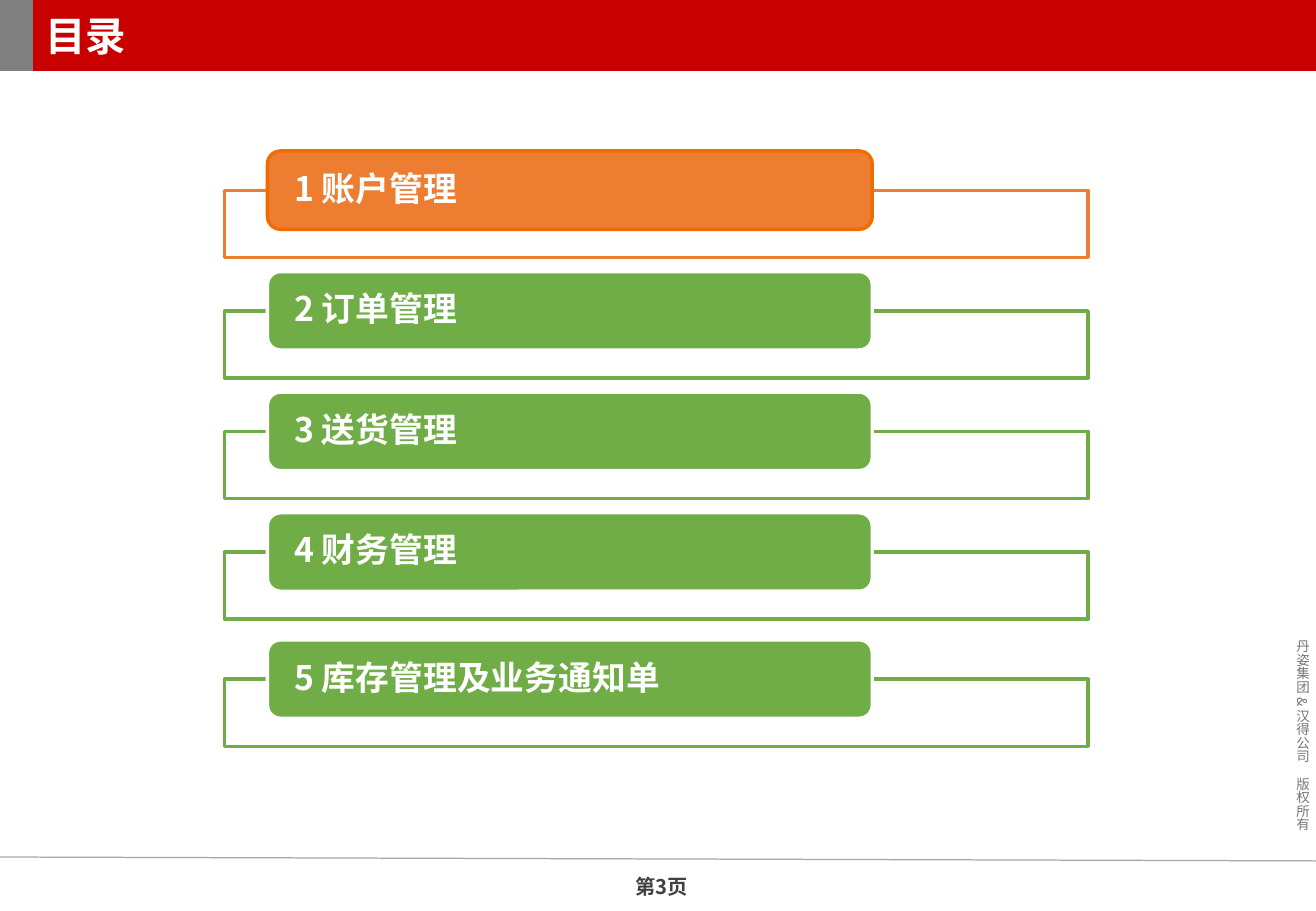
import dataclasses

import lxml.etree
import pptx
import pptx.dml.color
import pptx.enum.shapes
import pptx.enum.text
import pptx.oxml.ns
import pptx.util

Pt = pptx.util.Pt
RGB = pptx.dml.color.RGBColor.from_string
qn = pptx.oxml.ns.qn
ALIGN = pptx.enum.text.PP_ALIGN
ANCHOR = pptx.enum.text.MSO_ANCHOR
SHAPE = pptx.enum.shapes.MSO_SHAPE


@dataclasses.dataclass(frozen=True)
class Theme:
    red: str = "C80000"
    gray: str = "808080"
    rule: str = "A6A6A6"
    copyright: str = "777777"
    footer: str = "404040"
    white: str = "FFFFFF"
    orange: str = "ED7D31"
    orange_edge: str = "EF6C00"
    green: str = "70AD47"
    latin: str = "Arial"
    cjk: str = "Noto Sans CJK SC"
    title_size: int = 24
    item_size: int = 20
    footer_size: int = 12
    copyright_size: int = 8


theme = Theme()


def write(sp, text, size, color, font, align, anchor, margins, bold=True):
    tf = sp.text_frame
    tf.text = text
    tf.word_wrap = True
    tf.auto_size = pptx.enum.text.MSO_AUTO_SIZE.NONE
    tf.vertical_anchor = anchor
    tf.margin_left, tf.margin_top, tf.margin_right, tf.margin_bottom = map(Pt, margins)
    p = tf.paragraphs[0]
    p.alignment = align
    r = p.runs[0]
    r.font.size = Pt(size)
    r.font.bold = bold
    r.font.name = font
    r.font.color.rgb = RGB(color)
    ea = lxml.etree.SubElement(r.font._element, qn("a:ea"))
    ea.set("typeface", theme.cjk)
    return p


def add_box(s, kind, left, top, width, height, fill, line=None):
    sp = s.shapes.add_shape(kind, Pt(left), Pt(top), Pt(width), Pt(height))
    sp.shadow.inherit = False
    sp.fill.solid()
    sp.fill.fore_color.rgb = RGB(fill)
    if line:
        sp.line.color.rgb = RGB(line)
        sp.line.width = Pt(2)
    else:
        sp.line.fill.background()
    return sp


prs = pptx.Presentation()
prs.slide_width, prs.slide_height = Pt(780), Pt(540)
s = prs.slides.add_slide(prs.slide_layouts[5])

rule = s.shapes.add_connector(
    pptx.enum.shapes.MSO_CONNECTOR.STRAIGHT, Pt(0), Pt(508), Pt(780), Pt(510.3)
)
rule.line.color.rgb = RGB(theme.rule)
rule.line.width = Pt(0.75)
lxml.etree.SubElement(rule._element.spPr, qn("a:effectLst"))

sp = s.shapes.add_textbox(Pt(756), Pt(372.2), Pt(24.5), Pt(136))
write(sp, "丹姿集团 & 汉得公司　版权所有", theme.copyright_size, theme.copyright,
      theme.cjk, ALIGN.RIGHT, ANCHOR.TOP, (7.2, 3.6, 7.2, 3.6), bold=False)
sp.text_frame._txBody.bodyPr.set("vert", "eaVert")

add_box(s, SHAPE.RECTANGLE, 0, 0, 19.5, 42, theme.gray)

sp = s.shapes.add_textbox(Pt(367.2), Pt(514.8), Pt(57), Pt(23.8))
write(sp, "第3页", theme.footer_size, theme.footer, theme.cjk,
      ALIGN.CENTER, ANCHOR.TOP, (0, 3.6, 7.2, 0))

title = s.shapes.title
title.left, title.top, title.width, title.height = Pt(19.5), Pt(0), Pt(760.5), Pt(42)
title.fill.solid()
title.fill.fore_color.rgb = RGB(theme.red)
write(title, "目录", theme.title_size, theme.white, theme.latin,
      ALIGN.LEFT, ANCHOR.MIDDLE, (7.2, 3.6, 7.2, 3.6))

items = ["账户管理", "订单管理", "送货管理", "财务管理", "库存管理及业务通知单"]
first_top, pitch, last_gap = 112.8, 71.5, 3.8
for i, item in enumerate(items):
    top = first_top + i * pitch
    if i == len(items) - 1:
        top += last_gap
    color, edge = (theme.green, theme.white) if i else (theme.orange, theme.orange_edge)

    frame = add_box(s, SHAPE.RECTANGLE, 133, top, 512, 39.8, theme.white, color)
    srgb = frame._element.spPr.find(qn("a:solidFill")).find(qn("a:srgbClr"))
    lxml.etree.SubElement(srgb, qn("a:alpha")).set("val", "90000")

    card = add_box(s, SHAPE.ROUNDED_RECTANGLE, 158.5, top - 23.3, 358.5, 46.5, color, edge)
    p = write(card, f"{i + 1} {item}", theme.item_size, theme.white, theme.cjk,
              ALIGN.LEFT, ANCHOR.MIDDLE, (13.6, 0, 13.6, 0))
    p.line_spacing = 0.9

prs.save("out.pptx")
